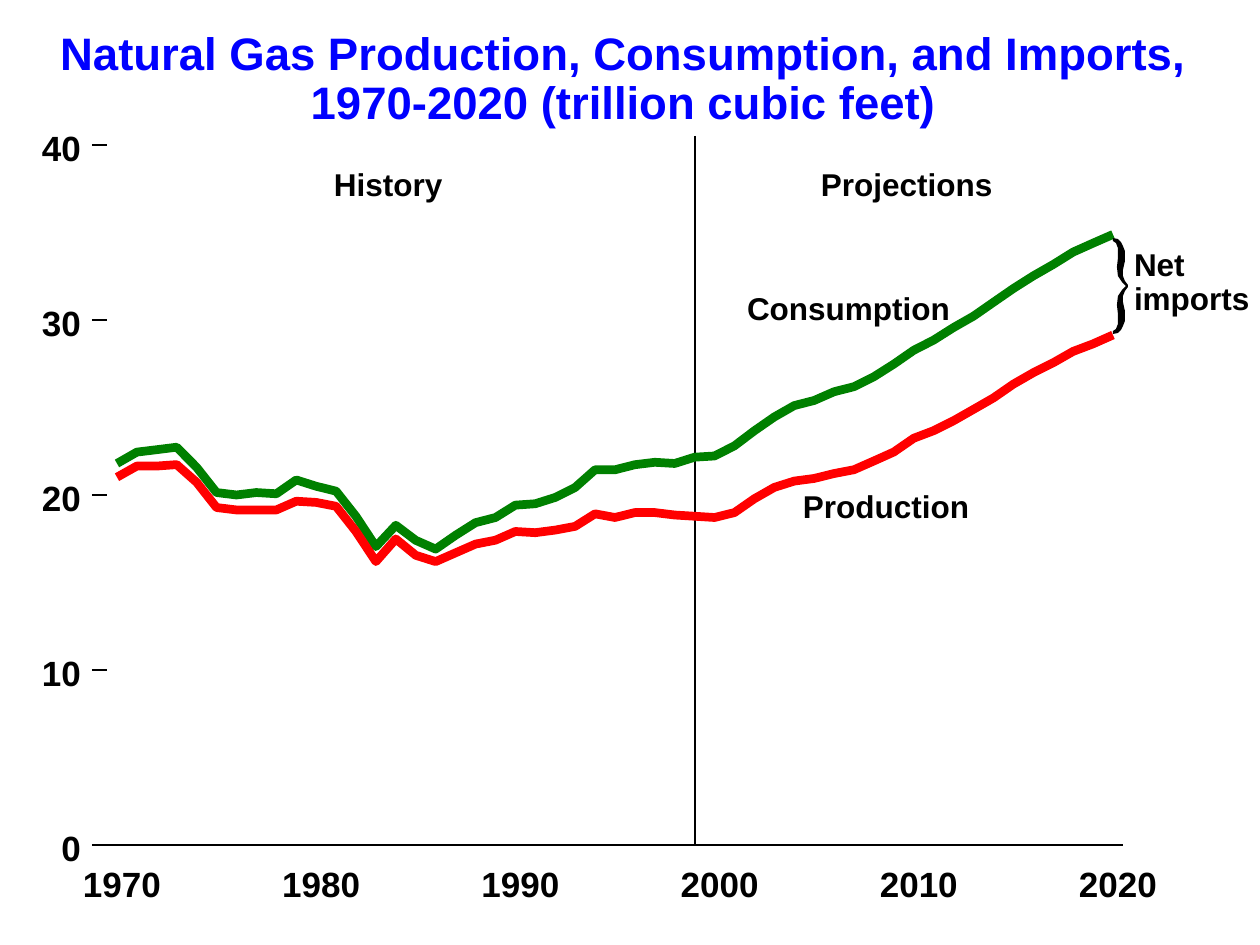
from pptx import Presentation
from pptx.dml.color import RGBColor
from pptx.enum.shapes import MSO_CONNECTOR
from pptx.enum.text import MSO_ANCHOR, MSO_AUTO_SIZE, PP_ALIGN
from pptx.oxml.ns import qn
from pptx.util import Pt
from lxml import etree

LEFT, CENTER, RIGHT = PP_ALIGN.LEFT, PP_ALIGN.CENTER, PP_ALIGN.RIGHT
STRAIGHT = MSO_CONNECTOR.STRAIGHT
TOP = MSO_ANCHOR.TOP
FIT_SHAPE = MSO_AUTO_SIZE.SHAPE_TO_FIT_TEXT

EMU_PER_PX = 914400 / 126
BLACK, BLUE, GREEN, RED = "000000", "0000FF", "008000", "FF0000"

# Plot scale: years run across, trillion cubic feet run up
FIRST_YEAR, LAST_YEAR, YEAR_STEP = 1970, 2020, 10
MAX_VOLUME, VOLUME_STEP = 40, 10
PLOT_LEFT, PLOT_RIGHT = 117, 1113
PLOT_TOP, PLOT_BOTTOM = 145, 845

CONSUMPTION = [
    21.80, 22.45, 22.59, 22.73, 21.58, 20.14, 20.00, 20.14, 20.07, 20.86,
    20.50, 20.22, 18.78, 17.05, 18.27, 17.41, 16.91, 17.70, 18.42, 18.71,
    19.42, 19.50, 19.86, 20.43, 21.44, 21.44, 21.73, 21.87, 21.80, 22.16,
    22.23, 22.81, 23.67, 24.46, 25.11, 25.40, 25.90, 26.19, 26.76, 27.48,
    28.27, 28.85, 29.57, 30.22, 31.01, 31.80, 32.52, 33.17, 33.88, 34.39,
    34.89,
]
PRODUCTION = [
    21.01, 21.65, 21.65, 21.73, 20.72, 19.28, 19.14, 19.14, 19.14, 19.64,
    19.57, 19.35, 17.91, 16.19, 17.48, 16.55, 16.19, 16.69, 17.19, 17.41,
    17.91, 17.84, 17.99, 18.20, 18.92, 18.71, 18.99, 18.99, 18.85, 18.78,
    18.71, 18.99, 19.78, 20.43, 20.79, 20.94, 21.22, 21.44, 21.94, 22.45,
    23.24, 23.67, 24.24, 24.89, 25.54, 26.33, 26.98, 27.55, 28.20, 28.63,
    29.14,
]

# Upper half of the brace, from its end to its tip
BRACE_LEFT, BRACE_TOP, BRACE_HALF = 1113, 238, 48
BRACE_OUTER = [(0, 0), (5, 1), (8, 4), (10, 8), (12, 13), (12, 23),
               (10, 32), (10, 38), (12, 43), (15, 47)]
BRACE_INNER = [(0, 3), (3, 5), (5, 10), (5, 20), (4, 29), (5, 38),
               (9, 44), (13, 48)]


def px(length):
    return round(length * EMU_PER_PX)


def color(hex_code):
    return RGBColor.from_string(hex_code)


def year_x(year):
    share = (year - FIRST_YEAR) / (LAST_YEAR - FIRST_YEAR)
    return PLOT_LEFT + share * (PLOT_RIGHT - PLOT_LEFT)


def volume_y(volume):
    return PLOT_BOTTOM - volume / MAX_VOLUME * (PLOT_BOTTOM - PLOT_TOP)


def add_text(slide, text, x, y, width, height, size=18, ink=BLACK,
             align=LEFT, spacing=None):
    box = slide.shapes.add_textbox(px(x), px(y), px(width), px(height))
    frame = box.text_frame
    frame.margin_left = frame.margin_right = 0
    frame.margin_top = frame.margin_bottom = 0
    frame.word_wrap = False
    frame.auto_size = FIT_SHAPE
    frame.vertical_anchor = TOP
    frame.text = text
    for paragraph in frame.paragraphs:
        paragraph.alignment = align
        paragraph.line_spacing = spacing
        font = paragraph.font
        font.name, font.size, font.bold = "Arial", Pt(size), True
        font.color.rgb = color(ink)


def add_line(slide, x1, y1, x2, y2):
    line = slide.shapes.add_connector(STRAIGHT, px(x1), px(y1), px(x2), px(y2))
    line.line.color.rgb = color(BLACK)
    line.line.width = Pt(1)
    etree.SubElement(line._element.spPr, qn("a:effectLst"))


def add_outline(slide, points, closed):
    corners = [(px(x), px(y)) for x, y in points]
    builder = slide.shapes.build_freeform(*corners[0])
    builder.add_line_segments(corners[1:], close=closed)
    outline = builder.convert_to_shape()
    outline.shadow.inherit = False
    return outline


def add_curve(slide, volumes, ink):
    points = [(year_x(year), volume_y(volume))
              for year, volume in enumerate(volumes, FIRST_YEAR)]
    curve = add_outline(slide, points, closed=False)
    curve.fill.background()
    curve.line.color.rgb = color(ink)
    curve.line.width = Pt(5)


def add_brace(slide):
    def mirrored(half):
        return [(x, 2 * BRACE_HALF - y) for x, y in half]

    edge = (BRACE_OUTER + mirrored(BRACE_OUTER)[::-1]
            + mirrored(BRACE_INNER) + BRACE_INNER[::-1])
    points = [(BRACE_LEFT + x, BRACE_TOP + y) for x, y in edge]
    brace = add_outline(slide, points, closed=True)
    brace.fill.solid()
    brace.fill.fore_color.rgb = color(BLACK)
    brace.line.fill.background()


def add_axes(slide):
    for volume in range(0, MAX_VOLUME + 1, VOLUME_STEP):
        y = volume_y(volume)
        add_line(slide, 92, y, 107, y)
        add_text(slide, str(volume), 41, y - 19, 40, 42, size=20, align=RIGHT)
    add_line(slide, 107, PLOT_BOTTOM, 1123, PLOT_BOTTOM)
    for year in range(FIRST_YEAR, LAST_YEAR + 1, YEAR_STEP):
        add_text(slide, str(year), year_x(year) - 34, 862, 79, 42, size=20)


def main():
    deck = Presentation()
    deck.slide_width, deck.slide_height = px(1260), px(945)
    slide = deck.slides.add_slide(deck.slide_layouts[6])

    # Divider between history and projections
    add_line(slide, 695, 136, 695, 846)

    # Curves and axes
    add_curve(slide, CONSUMPTION, GREEN)
    add_curve(slide, PRODUCTION, RED)
    add_axes(slide)

    # Labels inside the plot
    add_text(slide, "History", 334, 165, 112, 38)
    add_text(slide, "Projections", 821, 165, 175, 38)
    add_text(slide, "Production", 803, 487, 170, 38)
    add_text(slide, "Consumption", 747, 289, 207, 38)

    # Gap between the two curves
    add_text(slide, "Net\nimports", 1134, 249, 118, 68, spacing=0.9)
    add_brace(slide)

    # Title
    add_text(slide, "Natural Gas Production, Consumption, and Imports,\n"
             "1970-2020 (trillion cubic feet)", 56, 31, 1135, 98,
             size=26, ink=BLUE, align=CENTER, spacing=0.9)

    deck.save("out.pptx")


if __name__ == "__main__":
    main()
